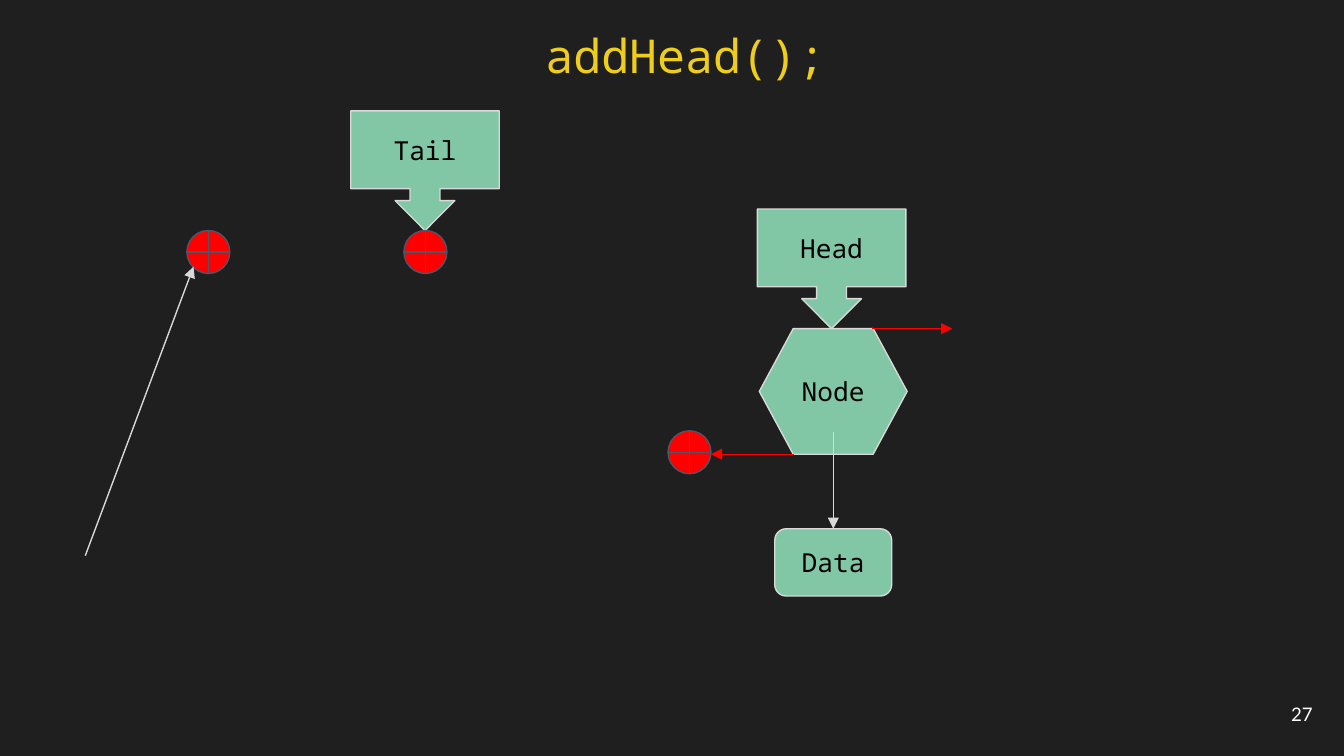
from lxml.etree import SubElement
from pptx import Presentation
from pptx.dml.color import RGBColor
from pptx.enum.shapes import MSO_CONNECTOR, MSO_SHAPE
from pptx.enum.text import MSO_ANCHOR, PP_ALIGN
from pptx.oxml.ns import qn
from pptx.util import Pt

PX = 4572
INSET = 20 * PX
GREEN, RED, GREY, SLATE = "82C7A5", "FF0000", "D9D9D9", "4E5567"
MONO = "Noto Sans Mono"


def color(value):
    return RGBColor.from_string(value)


def write(box, text, size, font, ink, align, anchor):
    frame = box.text_frame
    sides = ("margin_left", "margin_top", "margin_right", "margin_bottom")
    layout = dict.fromkeys(sides, INSET) | {"word_wrap": True, "vertical_anchor": anchor}
    for name, value in layout.items():
        setattr(frame, name, value)
    para = frame.paragraphs[0]
    para.alignment = align
    span = para.add_run()
    span.text = text
    for name, value in {"size": Pt(size), "name": font}.items():
        setattr(span.font, name, value)
    span.font.color.rgb = color(ink)


deck = Presentation()
deck.slide_width, deck.slide_height = 2000 * PX, 1125 * PX
page = deck.slides.add_slide(deck.slide_layouts[6])
page.background.fill.solid()
page.background.fill.fore_color.rgb = color("1F1F1F")

labels = [
    ((792, 20, 892, 136), "addHead();", 25, MONO, "EECE1A", PP_ALIGN.LEFT, MSO_ANCHOR.TOP),
    ((1853, 1020, 120, 86), "27", 10, "Lato", "FFFFFF", PP_ALIGN.RIGHT, MSO_ANCHOR.MIDDLE),
]
for place, *style in labels:
    box = page.shapes.add_textbox(*(v * PX for v in place))
    write(box, *style)

callout = (MSO_SHAPE.DOWN_ARROW_CALLOUT, (0.25, 0.25, 0.25, 0.65), GREEN, GREY)
null_mark = (MSO_SHAPE.FLOWCHART_OR, (), RED, SLATE)
shapes = [
    ("Head", (1127, 311, 221, 178), *callout),
    ("Tail", (522, 165, 221, 178), *callout),
    ("", (278, 343, 64, 64), *null_mark),
    ("", (601, 343, 64, 64), *null_mark),
    ("", (994, 641, 64, 64), *null_mark),
    ("Node", (1130, 489, 220, 187), MSO_SHAPE.HEXAGON, (0.27,), GREEN, GREY),
    ("Data", (1153, 787, 174, 100), MSO_SHAPE.ROUNDED_RECTANGLE, (0.17,), GREEN, GREY),
]
drawn = {}
for text, place, kind, adjustments, fill, outline in shapes:
    shape = page.shapes.add_shape(kind, *(v * PX for v in place))
    for index, value in enumerate(adjustments):
        shape.adjustments[index] = value
    shape.shadow.inherit = False
    shape.fill.solid()
    shape.fill.fore_color.rgb = color(fill)
    shape.line.color.rgb = color(outline)
    shape.line.width = Pt(0.75)
    if text:
        write(shape, text, 14, MONO, "000000", PP_ALIGN.CENTER, MSO_ANCHOR.MIDDLE)
        drawn[text] = shape

arrows = [
    ((1182, 676, 1058, 676), RED, None),
    ((1298, 489, 1417, 489), RED, None),
    ((1240, 643, 1240, 787), GREY, "Data"),
    ((127, 827, 288, 397), GREY, None),
]
for ends, ink, target in arrows:
    arrow = page.shapes.add_connector(MSO_CONNECTOR.STRAIGHT, *(v * PX for v in ends))
    if target:
        arrow.end_connect(drawn[target], 0)
    arrow.line.color.rgb = color(ink)
    arrow.line.width = Pt(0.75)
    SubElement(arrow.line._get_or_add_ln(), qn("a:tailEnd"), type="triangle")
    SubElement(arrow._element.spPr, qn("a:effectLst"))

deck.save("out.pptx")
